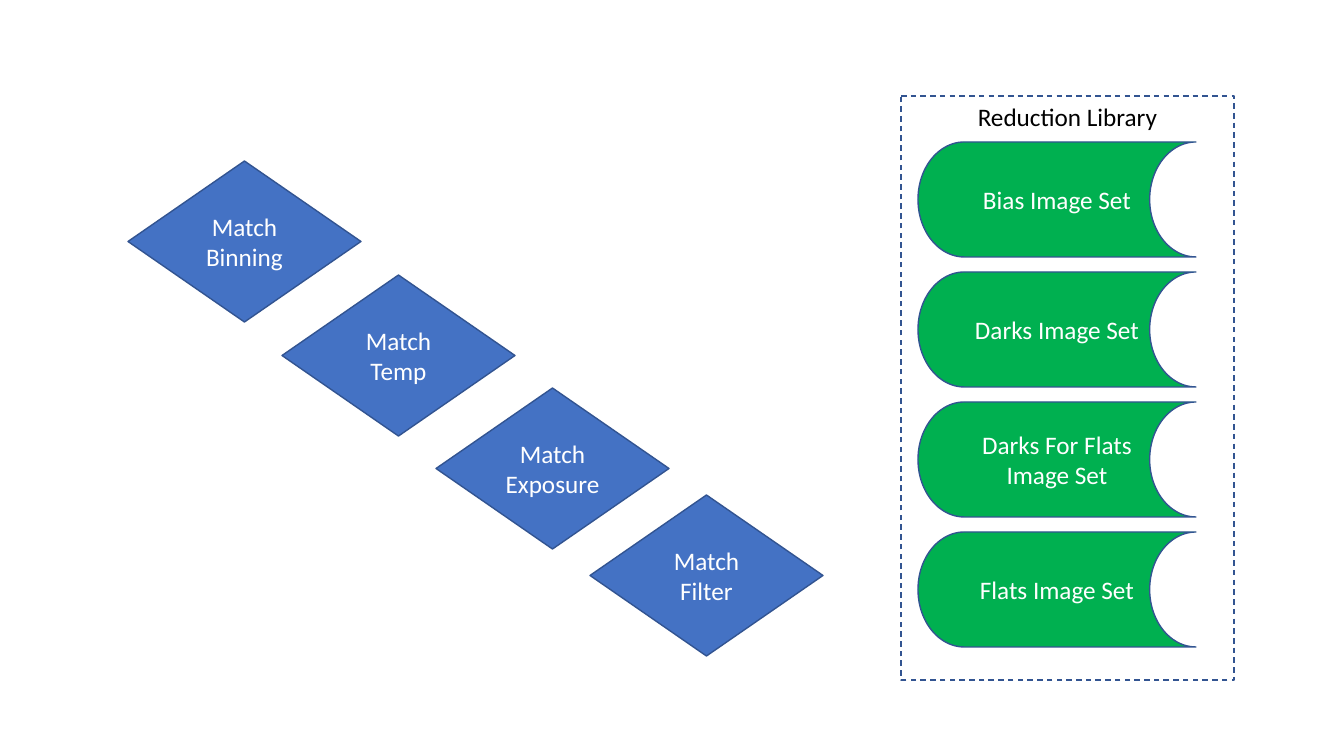
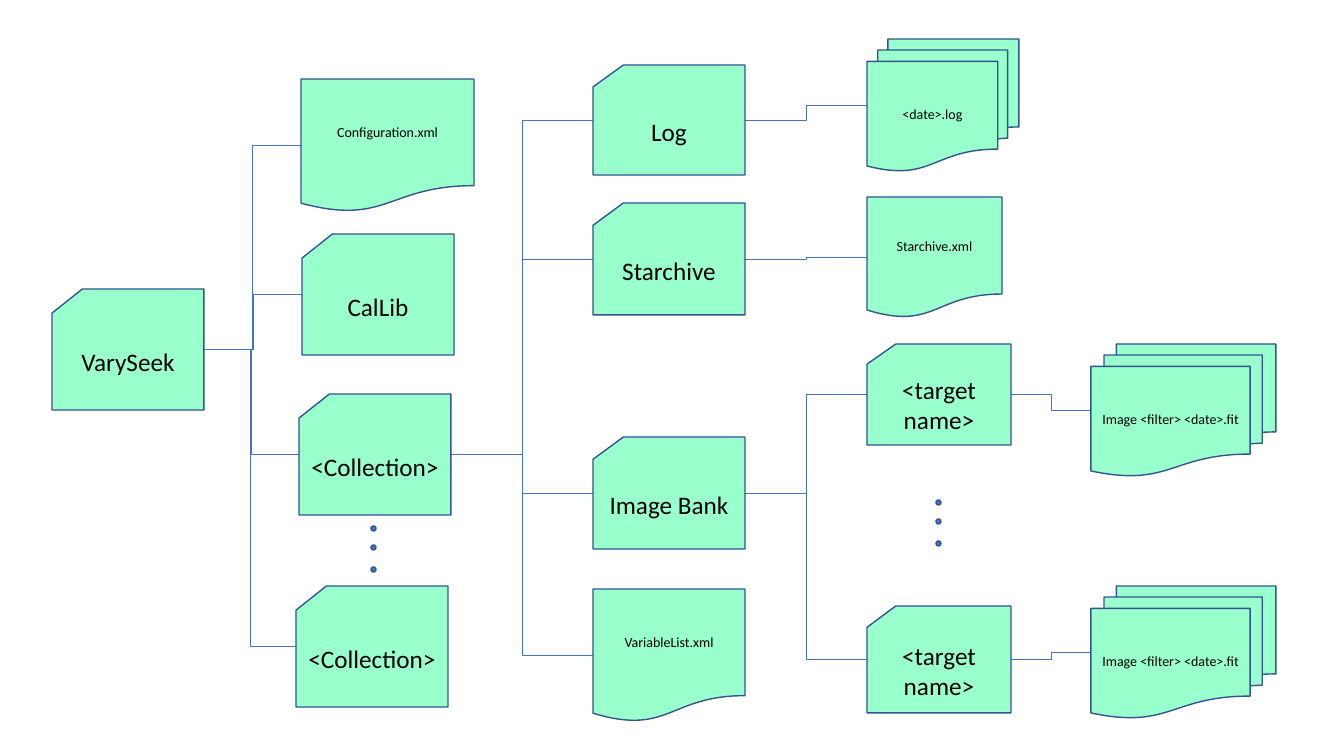
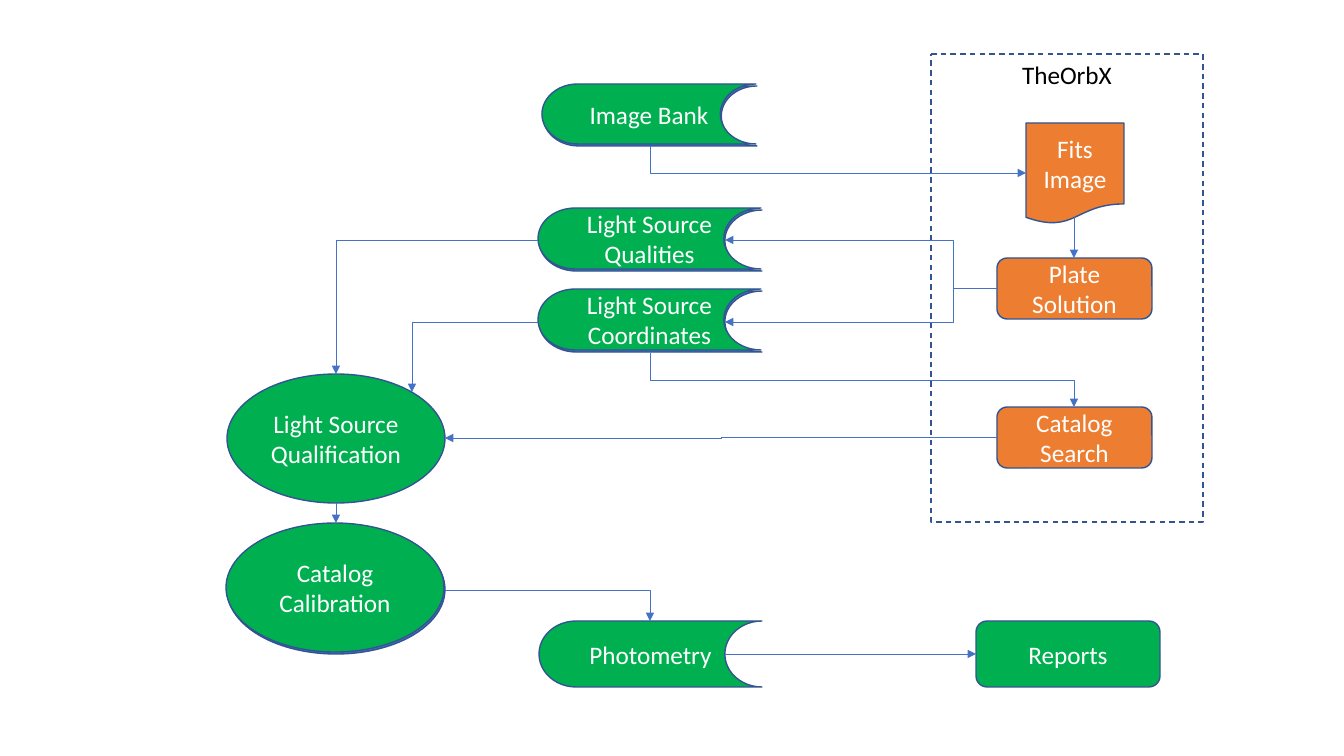
"""Build three diagrams of an image reduction workflow."""
from lxml.etree import SubElement
from pptx import Presentation
from pptx.dml.color import RGBColor as Rgb
from pptx.enum.dml import MSO_LINE as Dash
from pptx.enum.shapes import MSO_CONNECTOR as Wire, MSO_SHAPE as Form
from pptx.enum.text import MSO_ANCHOR as Anchor, PP_ALIGN as Align
from pptx.oxml.ns import qn
from pptx.util import Emu, Pt

SCALE = 914400 / 100.8
HUES = {"green": "00B050", "blue": "4472C4", "edge": "325491", "mint": "99FFCC",
        "orange": "ED7D31", "white": "FFFFFF", "black": "000000"}
LARGE = {"name": "Calibri", "size": Pt(18)}
SMALL = {"name": "Calibri", "size": Pt(10)}

SETS = ["Bias Image Set", "Darks Image Set", "Darks For Flats Image Set", "Flats Image Set"]
TESTS = [("Match Binning", 161), ("Match Temp", 275),
         ("Match Exposure", 388), ("Match Filter", 495)]

CARD, PAGE, PILE = Form.FLOWCHART_CARD, Form.FLOWCHART_DOCUMENT, Form.FLOWCHART_MULTIDOCUMENT
FILES = {
    "root": (CARD, "VarySeek", 52, 289, 152, 121),
    "config": (PAGE, "Configuration.xml", 301, 79, 173, 133),
    "callib": (CARD, "CalLib", 302, 234, 152, 121),
    "first": (CARD, "<Collection>", 299, 394, 152, 121),
    "last": (CARD, "<Collection>", 296, 586, 152, 121),
    "log": (CARD, "Log", 593, 65, 152, 110),
    "stars": (CARD, "Starchive", 593, 203, 152, 112),
    "bank": (CARD, "Image Bank", 593, 437, 152, 112),
    "vars": (PAGE, "VariableList.xml", 593, 589, 152, 133),
    "logs": (PILE, "<date>.log", 867, 39, 152, 132),
    "starxml": (PAGE, "Starchive.xml", 867, 197, 135, 121),
    "target1": (CARD, "<target name>", 867, 344, 144, 101),
    "target2": (CARD, "<target name>", 867, 606, 144, 107),
    "images1": (PILE, "Image <filter> <date>.fit", 1091, 344, 185, 132),
    "images2": (PILE, "Image <filter> <date>.fit", 1091, 586, 185, 132),
}
TREE = {
    "root": ["config", "callib", "first", "last"],
    "first": ["log", "stars", "bank", "vars"],
    "log": ["logs"],
    "stars": ["starxml"],
    "bank": ["target1", "target2"],
    "target1": ["images1"],
    "target2": ["images2"],
}
DOTS = [(371, 526), (936, 500)]
DROPS = [0, 19, 41]

STORE, OVAL, STEP = (Form.FLOWCHART_STORED_DATA, Form.FLOWCHART_CONNECTOR,
                     Form.FLOWCHART_ALTERNATE_PROCESS)
TWINS = [
    (STORE, "Image Bank", 542, 84, 214, 60),
    (STORE, "Light Source Qualities", 538, 208, 223, 61),
    (STORE, "Light Source Coordinates", 538, 289, 223, 61),
    (OVAL, "Catalog Calibration", 226, 523, 218, 129),
]
STEPS = [
    (PAGE, "Fits Image", 1026, 123, 98, 101, "orange"),
    (STEP, "Plate Solution", 997, 258, 155, 61, "orange"),
    (STEP, "Catalog Search", 997, 407, 155, 61, "orange"),
    (OVAL, "Light Source Qualification", 227, 374, 218, 129, "green"),
    (STORE, "Photometry", 539, 621, 223, 66, "green"),
    (Form.ROUNDED_RECTANGLE, "Reports", 976, 621, 184, 66, "green"),
]
FLOWS = [
    ("down", (650, 146), (1026, 173)),
    ("line", (1074, 217), (1074, 258)),
    ("step", (997, 288), (725, 240), 0.16),
    ("step", (997, 288), (725, 322), 0.16),
    ("drop", (650, 353), (1074, 407)),
    ("turn", (538, 240), (336, 374)),
    ("turn", (538, 322), (412, 392)),
    ("step", (997, 437), (445, 438)),
    ("line", (336, 503), (336, 523)),
    ("turn", (445, 590), (650, 621)),
    ("line", (725, 654), (976, 654)),
]


def px(n):
    return Emu(round(n * SCALE))


def hue(name):
    return Rgb.from_string(HUES[name])


def block(slide, form, text, x, y, w, h, fill=None, ink="white", font=LARGE):
    shape = slide.shapes.add_shape(form, px(x), px(y), px(w), px(h))
    shape.shadow.inherit = False
    shape.line.color.rgb, shape.line.width = hue("edge"), Pt(1)
    if fill:
        shape.fill.solid()
        shape.fill.fore_color.rgb = hue(fill)
    else:
        shape.fill.background()
    if text:
        para = shape.text_frame.paragraphs[0]
        para.alignment = Align.CENTER
        run = para.add_run()
        run.text = text
        for key, value in font.items():
            setattr(run.font, key, value)
        run.font.color.rgb = hue(ink)
    return shape


def frame(slide, text, *area):
    shape = block(slide, Form.FLOWCHART_PROCESS, text, *area, ink="black")
    shape.line.dash_style = Dash.DASH
    shape.text_frame.vertical_anchor = Anchor.TOP


def link(slide, kind, start, end, bend=0.5, arrow="tailEnd"):
    if kind == "down":
        kind, start, end, arrow = "turn", end, start, "headEnd"
    if kind == "drop":
        (x1, y1), (x2, y2) = start, end
        midx, midy = (x1 + x2) / 2, (y1 + y2) / 2
        dx, dy = (y2 - y1) / 2, (x2 - x1) / 2
        start, end = (midx + dx, midy - dy), (midx - dx, midy + dy)
    wire = Wire.STRAIGHT if kind == "line" else Wire.ELBOW
    line = slide.shapes.add_connector(wire, *map(px, start + end))
    line.line.color.rgb, line.line.width = hue("blue"), Pt(0.5)
    props = line.element.spPr
    geom = props.find(qn("a:prstGeom"))
    if kind == "turn":
        geom.set("prst", "bentConnector2")
    if kind == "drop":
        props.find(qn("a:xfrm")).set("rot", str(270 * 60000))
    if bend != 0.5:
        SubElement(geom.find(qn("a:avLst")), qn("a:gd"),
                   name="adj1", fmla=f"val {round(bend * 100000)}")
    if arrow:
        SubElement(props.find(qn("a:ln")), qn("a:" + arrow), type="triangle")
    SubElement(props, qn("a:effectLst"))


def library(slide):
    for i, text in enumerate(SETS):
        block(slide, STORE, text, 918, 142 + 130 * i, 278, 115, "green")
    frame(slide, "Reduction Library", 901, 96, 333, 584)
    for i, (text, top) in enumerate(TESTS):
        block(slide, Form.DIAMOND, text, 128 + 154 * i, top, 233, 161, "blue")


def folders(slide):
    for parent, kids in TREE.items():
        x, y, w, h = FILES[parent][2:]
        for kid in kids:
            left, top, _, high = FILES[kid][2:]
            link(slide, "step", (x + w, y + h / 2), (left, top + high / 2), arrow=None)
    for item in FILES.values():
        font = LARGE if item[0] == CARD else SMALL
        block(slide, *item, "mint", "black", font)
    for x, y in DOTS:
        for drop in DROPS:
            block(slide, Form.OVAL, "", x, y + drop, 5, 5, "blue")


def process(slide):
    for form, text, x, y, w, h in TWINS:
        block(slide, form, "", x + 1, y + 2, w, h, "blue")
        block(slide, form, text, x, y, w, h, "green")
    for item in STEPS:
        block(slide, *item)
    frame(slide, "TheOrbX", 931, 54, 272, 468)
    for flow in FLOWS:
        link(slide, *flow)


deck = Presentation()
deck.slide_width, deck.slide_height = px(1344), px(756)
for draw in (library, folders, process):
    draw(deck.slides.add_slide(deck.slide_layouts[6]))
deck.save("out.pptx")
